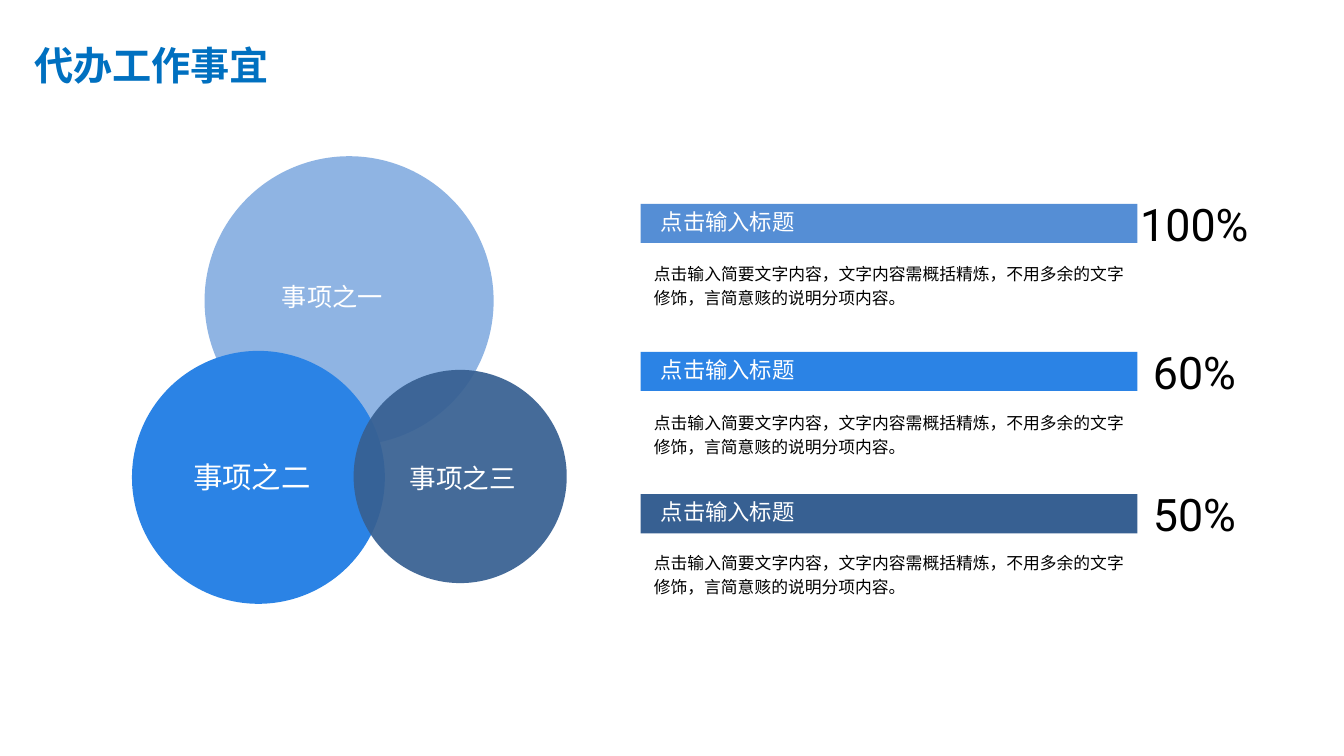
from lxml.etree import SubElement
from pptx import Presentation
from pptx.dml.color import RGBColor
from pptx.enum.shapes import MSO_SHAPE
from pptx.enum.text import MSO_ANCHOR, MSO_AUTO_SIZE, PP_ALIGN
from pptx.oxml.ns import qn
from pptx.util import Pt

COLORS = {
    "title": "0070C0",
    "light": "558ED5",
    "bright": "2B83E5",
    "dark": "376092",
    "white": "FFFFFF",
    "black": "000000",
}
CJK = "Noto Sans CJK SC"
DETAIL = "点击输入简要文字内容，文字内容需概括精炼，不用多余的文字修饰，言简意赅的说明分项内容。"


def write_text(box, text, size, color, font=CJK, align=PP_ALIGN.LEFT,
               wrap=True, insets=(7.2, 3.6), bold=False):
    frame = box.text_frame
    frame.auto_size = MSO_AUTO_SIZE.NONE
    frame.word_wrap = wrap
    frame.vertical_anchor = MSO_ANCHOR.TOP
    frame.margin_left = frame.margin_right = Pt(insets[0])
    frame.margin_top = frame.margin_bottom = Pt(insets[1])
    paragraph = frame.paragraphs[0]
    paragraph.alignment = align
    run = paragraph.add_run()
    run.text = text
    run.font.size = Pt(size)
    run.font.bold = bold
    run.font.color.rgb = RGBColor.from_string(COLORS[color])
    run.font.name = font
    SubElement(run.font._element, qn("a:ea")).set("typeface", font)
    return paragraph


def add_filled(preset, left, top, width, height, color, opacity=100):
    shape = slide.shapes.add_shape(preset, Pt(left), Pt(top), Pt(width), Pt(height))
    shape.shadow.inherit = False
    shape.line.fill.background()
    shape.fill.solid()
    shape.fill.fore_color.rgb = RGBColor.from_string(COLORS[color])
    if opacity < 100:
        tint = shape._element.spPr.find(qn("a:solidFill")).find(qn("a:srgbClr"))
        SubElement(tint, qn("a:alpha")).set("val", str(opacity * 1000))


presentation = Presentation()
presentation.slide_width = Pt(960.5)
presentation.slide_height = Pt(540)
slide = presentation.slides.add_slide(presentation.slide_layouts[5])

heading = slide.shapes.title
heading.left, heading.top = Pt(17.3), Pt(26)
heading.width, heading.height = Pt(266.4), Pt(41)
write_text(heading, "代办工作事宜", 28, "title", bold=True)

matters = [
    ("事项之一", 18, "light", 66, (146.2, 111.6, 206.6), (194.4, 197.3, 87)),
    ("事项之二", 21, "bright", 100, (94.3, 250.6, 180.7), (131, 324.7, 99.4)),
    ("事项之三", 19, "dark", 93, (252.7, 264.2, 152.3), (285.8, 326.2, 91.4)),
]
for name, size, color, opacity, circle, label in matters:
    left, top, diameter = circle
    add_filled(MSO_SHAPE.OVAL, left, top, diameter, diameter, color, opacity)
    left, top, width = label
    caption = slide.shapes.add_textbox(Pt(left), Pt(top), Pt(width), Pt(31))
    write_text(caption, name, size, "white", wrap=False)

BAR_LEFT, BAR_WIDTH, BAR_HEIGHT = 457.9, 355, 28
items = [
    ("100%", "light", 145.6, 180.7),
    ("60%", "bright", 251.3, 286.6),
    ("50%", "dark", 353, 386.6),
]
for share, color, bar_top, detail_top in items:
    add_filled(MSO_SHAPE.RECTANGLE, BAR_LEFT, bar_top, BAR_WIDTH, BAR_HEIGHT, color)

    subtitle = slide.shapes.add_textbox(Pt(465.1), Pt(bar_top - 0.7), Pt(111.6), Pt(26.6))
    write_text(subtitle, "点击输入标题", 16, "white", wrap=False)

    detail = slide.shapes.add_textbox(Pt(BAR_LEFT), Pt(detail_top), Pt(BAR_WIDTH), Pt(44))
    paragraph = write_text(detail, DETAIL, 12, "black",
                           align=PP_ALIGN.JUSTIFY, insets=(9.4, 5))
    paragraph.line_spacing = Pt(17.3)

    percent = slide.shapes.add_textbox(Pt(812.2), Pt(bar_top - 5.2), Pt(82.8), Pt(39))
    write_text(percent, share, 32, "black", "Roboto", PP_ALIGN.CENTER, insets=(0, 0))

presentation.save("out.pptx")
